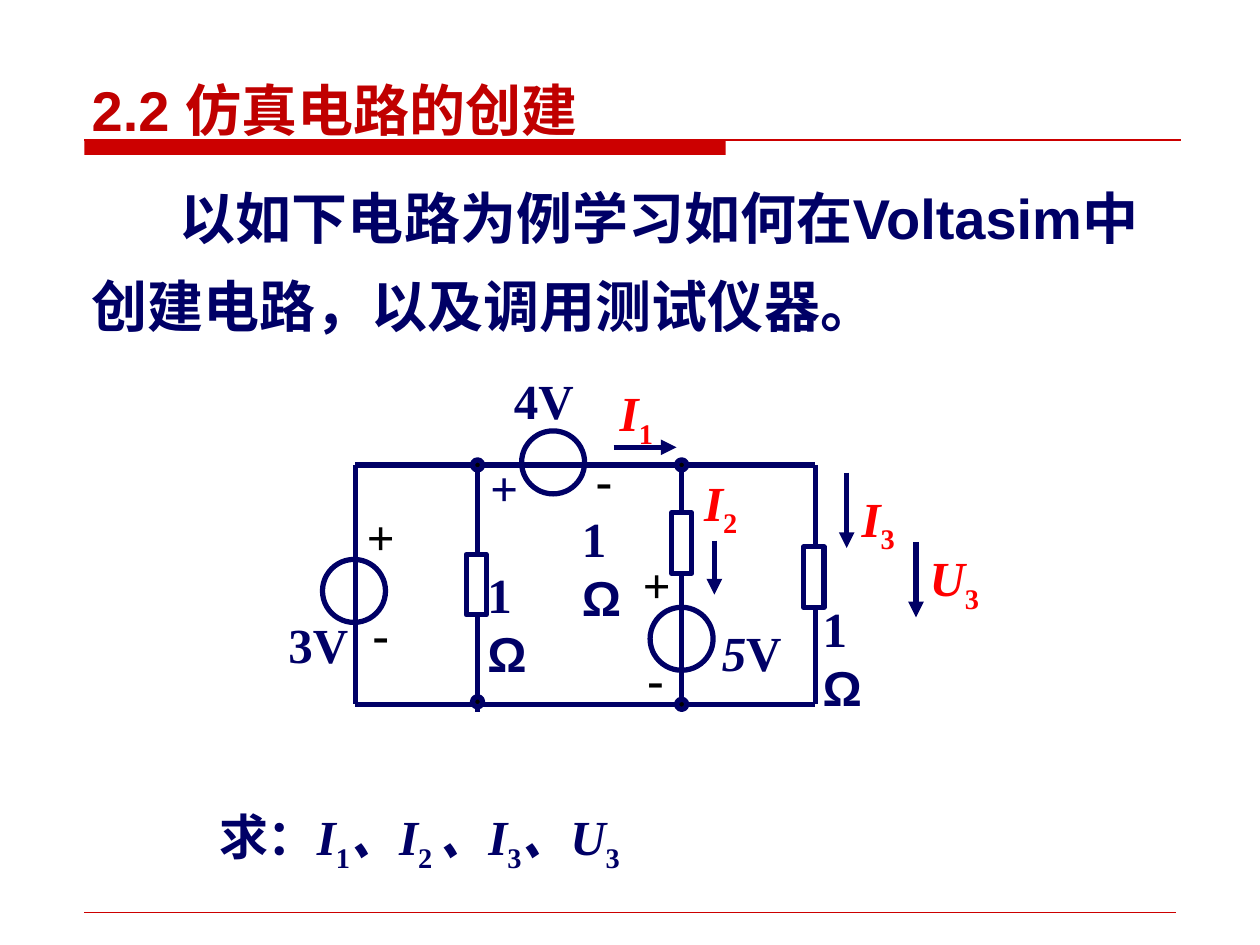
from lxml import etree
from pptx import Presentation
from pptx.dml.color import RGBColor
from pptx.enum.shapes import MSO_CONNECTOR as Link, MSO_SHAPE as Form
from pptx.oxml.ns import qn
from pptx.util import Inches, Pt

NAVY, RED, BLACK, WHITE = "000066", "FF0000", "000000", "FFFFFF"
RULE, TITLE = "CC0000", "C00000"
SANS, SERIF = "Arial", "Times New Roman"

# Runs are (text, style): i = italic, s = subscript, a = sans font
HEAD = [("2.2 仿真电路的创建", "")]
INTRO = [("以如下电路为例学习如何在Voltasim中创建电路，以及调用测试仪器。", "")]
ASK = [("求：", ""), ("I", "i"), ("1", "s"), ("、I", "i"), ("2 ", "s"),
       ("、I", "i"), ("3", "s"), ("、U", "i"), ("3", "s")]
OHM = [("1", ""), ("Ω", "a")]
PLUS, MINUS = [("+", "i")], [("-", "")]

# Circuit geometry: bus heights and branch positions
TOP, BASE = 3.69, 5.59
LEFT, MID, RIGHT, END = 2.82, 3.79, 5.41, 6.47

sources = [(2.81, 4.69), (RIGHT, 5.07), (4.39, 3.67)]  # centres
wires = [(LEFT, TOP, END, TOP), (LEFT, BASE, END, BASE),
         (LEFT, TOP, LEFT, BASE), (MID, TOP, MID, 5.65),
         (RIGHT, TOP, RIGHT, BASE), (END, TOP, END, BASE)]
resistors = [(MID - 0.01, 4.64), (RIGHT, 4.31), (END - 0.01, 4.58)]
nodes = [(MID, TOP), (RIGHT, TOP), (MID, 5.57), (RIGHT, BASE)]
arrows = [(4.87, 3.55, 5.37, 3.55), (5.67, 4.29, 5.67, 4.72),
          (6.72, 3.75, 6.72, 4.35), (7.27, 4.3, 7.27, 4.9)]

# Label widths; the resistor labels are narrow, so they break after the 1
OHM_W, VOLT_W, SIGN_W, FLOW_W = 0.68, 0.75, 0.45, 0.65

# Labels: left, top, width, colour, runs
labels = [
    (4.52, 3.99, OHM_W, NAVY, OHM),
    (3.77, 4.43, OHM_W, NAVY, OHM),
    (6.43, 4.7, OHM_W, NAVY, OHM),
    (3.79, 3.58, SIGN_W, NAVY, PLUS),
    (2.81, 3.97, SIGN_W, BLACK, PLUS),
    (5, 4.35, SIGN_W, BLACK, PLUS),
    (2.86, 4.74, SIGN_W, BLACK, MINUS),
    (4.63, 3.52, SIGN_W, BLACK, MINUS),
    (5.04, 5.1, SIGN_W, BLACK, MINUS),
    (2.19, 4.83, VOLT_W, NAVY, [("3V", "")]),
    (3.98, 2.89, VOLT_W, NAVY, [("4V", "")]),
    (5.63, 4.89, VOLT_W, NAVY, [("5", "i"), ("V", "")]),
    (4.82, 2.99, FLOW_W, RED, [("I", "i"), ("1", "s")]),
    (5.49, 3.7, FLOW_W, RED, [("I", "i"), ("2", "s")]),
    (6.74, 3.83, FLOW_W, RED, [("I", "i"), ("3", "s")]),
    (7.28, 4.3, FLOW_W, RED, [("U", "i"), ("3", "s")]),
]

deck = Presentation()
deck.slide_width, deck.slide_height = Inches(10), Inches(7.5)
slide = deck.slides.add_slide(deck.slide_layouts[6])
shapes = slide.shapes


def rgb(code):
    return RGBColor.from_string(code)


def line(x1, y1, x2, y2, color=NAVY, width=3, arrow=False):
    wire = shapes.add_connector(Link.STRAIGHT, *map(Inches, (x1, y1, x2, y2)))
    wire.line.color.rgb = rgb(color)
    wire.line.width = Pt(width)
    if arrow:
        etree.SubElement(wire.line._get_or_add_ln(), qn("a:tailEnd"), type="triangle")
    etree.SubElement(wire._element.spPr, qn("a:effectLst"))


def part(form, x, y, w, h, fill=WHITE, edge=NAVY):
    """Add a preset shape centred on x, y; edge None leaves it unlined."""
    item = shapes.add_shape(form, *map(Inches, (x - w / 2, y - h / 2, w, h)))
    item.shadow.inherit = False
    item.fill.solid()
    item.fill.fore_color.rgb = rgb(fill)
    if edge:
        item.line.color.rgb = rgb(edge)
        item.line.width = Pt(3)
    else:
        item.line.fill.background()


def text(x, y, w, h, color, runs, size=28, font=SERIF, space=1, indent=0):
    frame = shapes.add_textbox(*map(Inches, (x, y, w, h))).text_frame
    frame.word_wrap = True
    para = frame.paragraphs[0]
    para.line_spacing = space
    para.font.name, para.font.size, para.font.bold = font, Pt(size), True
    para.font.color.rgb = rgb(color)
    if indent:
        para._p.get_or_add_pPr().set("indent", str(Inches(indent)))
    for words, style in runs:
        run = para.add_run()
        run.text = words
        if style == "i":
            run.font.italic = True
        elif style == "s":
            run.font._element.set("baseline", "-25000")
        elif style == "a":
            run.font.name = SANS


# Heading rule and footer rule
part(Form.RECTANGLE, 3.215, 1.17, 5.09, 0.12, RULE, None)
line(0.67, 1.11, 9.37, 1.11, RULE, 1)
line(0.67, 7.24, 9.33, 7.24, RULE, 0.25)

text(0.63, 0.39, 7.4, 0.8, TITLE, HEAD, 32, SANS, 1.3)
text(0.63, 1.25, 8.91, 1.49, NAVY, INTRO, 32, SANS, 1.3, 0.7)
text(1.64, 6.09, 5.7, 0.9, NAVY, ASK, space=1.5)

for x, y in sources:
    part(Form.OVAL, x, y, 0.5, 0.5)
for ends in wires:
    line(*ends)
for x, y in resistors:
    part(Form.RECTANGLE, x, y, 0.16, 0.48)
for x, y in nodes:
    part(Form.OVAL, x, y, 0.08, 0.08, BLACK)
for ends in arrows:
    line(*ends, arrow=True)
for x, y, w, color, runs in labels:
    text(x, y, w, 0.57, color, runs)

deck.save("out.pptx")
